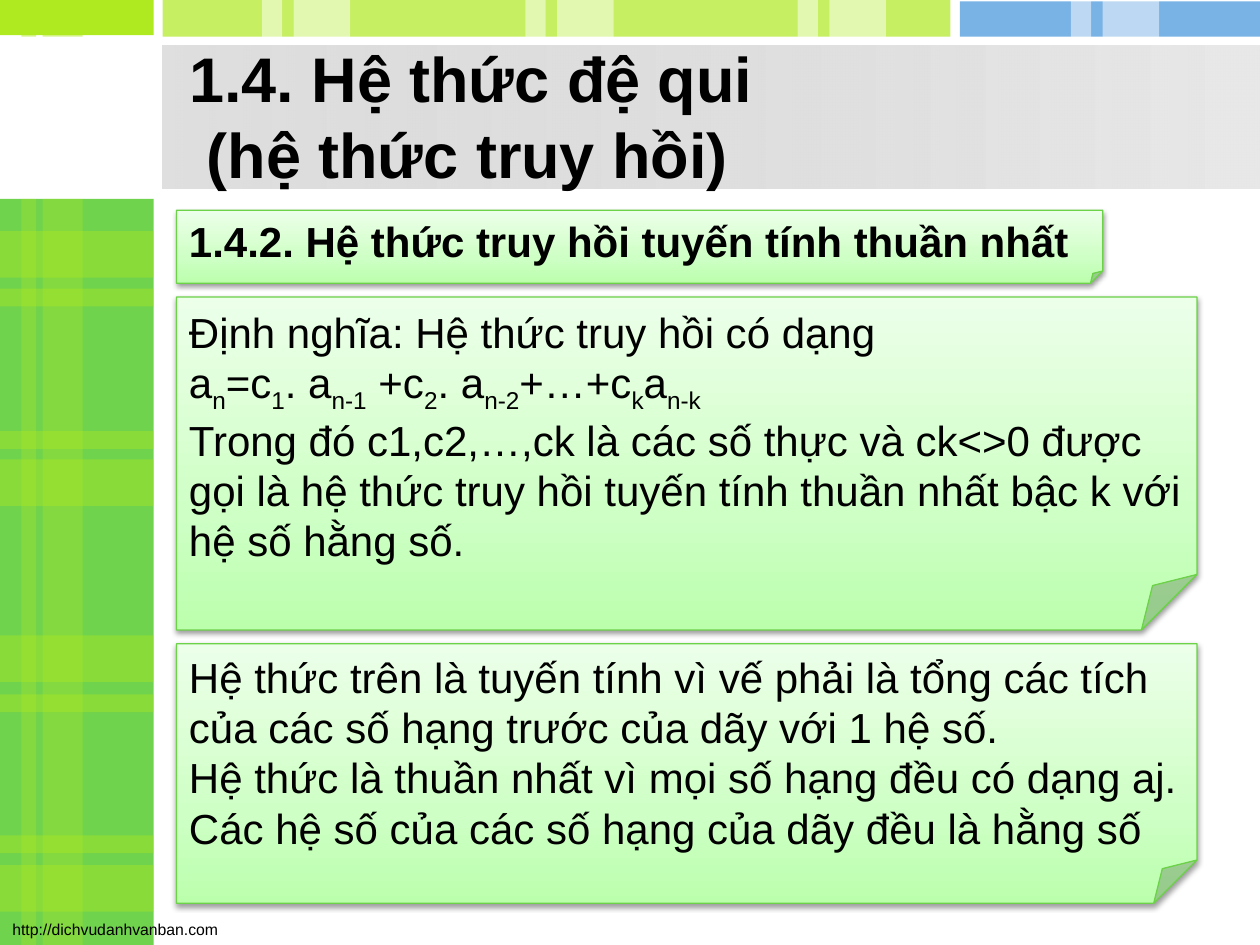
from lxml import etree
from pptx import Presentation
from pptx.dml.color import RGBColor
from pptx.enum import shapes, text
from pptx.oxml import ns
from pptx.util import Cm, Pt

HUES = {
    "green": "70D34D", "lime": "AFE91F", "blue": "4192DB", "white": "FFFFFF",
    "black": "000000", "edge": "6CD248", "silver": "C0C0C0", "pale": "E8E8E8",
    "deep": "BBFFAD", "mid": "CEFFC5", "light": "ECFFE9",
}
SIDE = 3.1
TOP = 4.01
TALL = 15.04
LEFT = 3.56
WIDE = 20.57


def add_node(parent, tag, **attrs):
    return etree.SubElement(parent, ns.qn("a:" + tag), {k: str(v) for k, v in attrs.items()})


def add_hue(parent, hue, alpha=100):
    node = add_node(parent, "srgbClr", val=HUES[hue])
    if alpha < 100:
        add_node(node, "alpha", val=alpha * 1000)


def add_form(slide, kind, box):
    form = slide.shapes.add_shape(kind, *map(Cm, box))
    form.shadow.inherit = False
    form.line.fill.background()
    return form


def add_rect(slide, box, hue, alpha=100):
    rect = add_form(slide, shapes.MSO_SHAPE.RECTANGLE, box)
    rect.fill.solid()
    rect.fill.fore_color.rgb = RGBColor.from_string(HUES[hue])
    if alpha < 100:
        node = rect._element.spPr.find(".//" + ns.qn("a:srgbClr"))
        add_node(node, "alpha", val=alpha * 1000)


def set_grad(form, stops, angle):
    form.fill.gradient()
    form.fill.gradient_angle = angle
    group = form._element.spPr.find(".//" + ns.qn("a:gsLst"))
    for stop in list(group):
        group.remove(stop)
    for pos, hue, alpha in stops:
        add_hue(add_node(group, "gs", pos=pos * 1000), hue, alpha)


def set_text(form, lines, size=24, bold=False, wrap=True, anchor="MIDDLE"):
    frame = form.text_frame
    frame.auto_size = text.MSO_AUTO_SIZE.NONE
    frame.word_wrap = wrap
    frame.vertical_anchor = text.MSO_ANCHOR[anchor]
    for i, line in enumerate(lines):
        para = frame.add_paragraph() if i else frame.paragraphs[0]
        para.alignment = text.PP_ALIGN.LEFT
        for j, part in enumerate(line.split("_")):
            for k, piece in enumerate(part.split("\n")):
                if k:
                    para.add_line_break()
                run = para.add_run()
                run.text = piece
                font = run.font
                font.name, font.size, font.bold = "Arial", Pt(size), bold
                font.color.rgb = RGBColor.from_string(HUES["black"])
                if j % 2:
                    run._r.get_or_add_rPr().set("baseline", "-25000")


def add_card(slide, box, lines, **style):
    card = add_form(slide, shapes.MSO_SHAPE.FOLDED_CORNER, box)
    set_grad(card, [(0, "deep", 100), (35, "mid", 100), (100, "light", 100)], 90)
    card.line.color.rgb = RGBColor.from_string(HUES["edge"])
    card.line.width = Pt(0.75)
    group = card._element.spPr.find(ns.qn("a:effectLst"))
    shade = add_node(group, "outerShdw", blurRad=Pt(3.1), dist=Pt(1.6),
                     dir=90 * 60000, rotWithShape=0)
    add_hue(shade, "black", 38)
    set_text(card, lines, **style)


def add_decor(slide):
    add_rect(slide, (0, TOP, SIDE, TALL), "green")
    add_rect(slide, (0, 0, SIDE, 0.71), "lime")
    add_rect(slide, (3.28, 0, 15.88, 0.74), "lime", 70)
    add_rect(slide, (19.35, 0.03, 6.05, 0.71), "blue", 70)
    for thick, thin in ((4.66, 5.82), (9.26, 8.69), (12.81, 14), (17.44, 16.84)):
        add_rect(slide, (0, thick, SIDE, 0.94), "lime", 40)
        add_rect(slide, (0, thin, SIDE, 0.36), "lime", 40)
    for x, width in ((0.43, 0.3), (0.86, 0.81)):
        add_rect(slide, (x, TOP, width, TALL), "lime", 30)
        add_rect(slide, (x, 0, width, 0.74), "lime", 50)
    for x, high in ((5.28, 0.79), (10.59, 0.79), (16.08, 0.79), (21.59, 0.84)):
        add_rect(slide, (x, 0, 0.41, high), "white", 50)
        add_rect(slide, (x + 0.64, 0, 1.14, high), "white", 50)
    band = add_form(slide, shapes.MSO_SHAPE.RECTANGLE, (3.28, 0.91, 22.12, 2.9))
    set_grad(band, [(0, "silver", 50), (100, "pale", 100)], 0)


def add_title(slide, line):
    title = slide.shapes.title
    title.left, title.top, title.width, title.height = map(Cm, (LEFT, 1.27, 18.03, 2.11))
    set_text(title, [line], size=36, bold=True)
    title._element.getparent().append(title._element)


def main():
    deck = Presentation()
    deck.slide_width, deck.slide_height = Cm(25.4), Cm(19.05)
    slide = deck.slides.add_slide(deck.slide_layouts[5])
    add_decor(slide)
    foot = slide.shapes.add_textbox(*map(Cm, (0, 18.42, 4.7, 0.64)))
    set_text(foot, ["http://dichvudanhvanban.com"], size=9, wrap=False, anchor="TOP")
    add_title(slide, "1.4. Hệ thức đệ qui\n (hệ thức truy hồi)")
    add_card(slide, (LEFT, 4.24, 18.67, 1.47),
             ["1.4.2. Hệ thức truy hồi tuyến tính thuần nhất"], bold=True)
    add_card(slide, (LEFT, 5.99, WIDE, 6.71), [
        "Định nghĩa: Hệ thức truy hồi có dạng",
        "a_n_=c_1_. a_n-1_ +c_2_. a_n-2_+…+c_k_a_n-k",
        "Trong đó c1,c2,…,ck là các số thực và ck<>0 được gọi là hệ thức "
        "truy hồi tuyến tính thuần nhất bậc k với hệ số hằng số.",
    ])
    add_card(slide, (LEFT, 12.98, WIDE, 5.23), [
        "Hệ thức trên là tuyến tính vì vế phải là tổng các tích của các "
        "số hạng trước của dãy với 1 hệ số.",
        "Hệ thức là thuần nhất vì mọi số hạng đều có dạng aj.",
        "Các hệ số của các số hạng của dãy đều là hằng số",
    ])
    deck.save("out.pptx")


if __name__ == "__main__":
    main()
